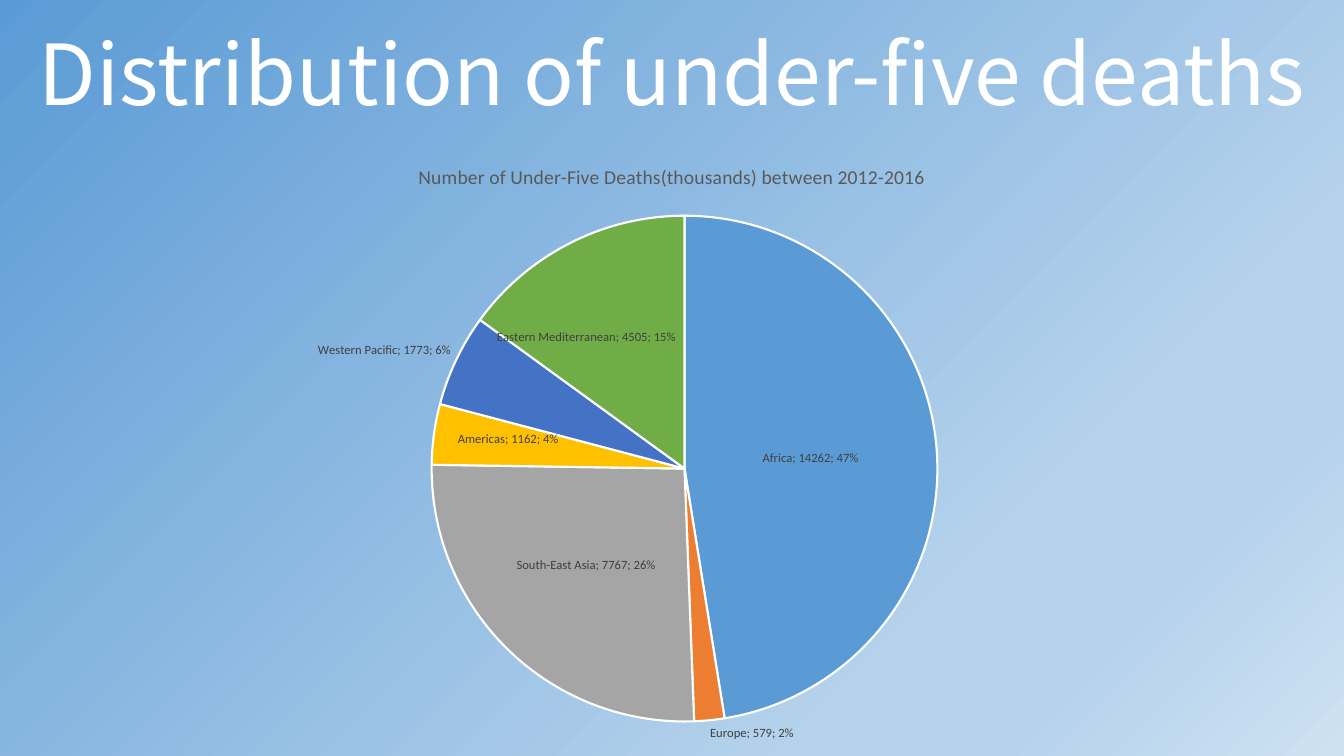
from pptx import Presentation
from pptx.chart.data import CategoryChartData
from pptx.dml.color import RGBColor
from pptx.enum.chart import XL_CHART_TYPE as ChartType, XL_LABEL_POSITION as LabelPosition
from pptx.enum.text import MSO_ANCHOR as Anchor, MSO_AUTO_SIZE as AutoSize, PP_ALIGN as Align
from pptx.oxml import parse_xml
from pptx.oxml.ns import nsdecls
from pptx.util import Cm, Pt

WHITE = RGBColor(0xFF, 0xFF, 0xFF)
BLACK = RGBColor(0x00, 0x00, 0x00)
LABEL_GRAY = RGBColor(0x40, 0x40, 0x40)
TITLE_GRAY = RGBColor(0x59, 0x59, 0x59)
BLUE = RGBColor(0x5B, 0x9B, 0xD5)
ORANGE = RGBColor(0xED, 0x7D, 0x31)
GRAY = RGBColor(0xA5, 0xA5, 0xA5)
GOLD = RGBColor(0xFF, 0xC0, 0x00)
INDIGO = RGBColor(0x44, 0x72, 0xC4)
GREEN = RGBColor(0x70, 0xAD, 0x47)
PALE_BLUE = RGBColor(0xB5, 0xD2, 0xEC)
PALEST_BLUE = RGBColor(0xCE, 0xE1, 0xF2)

TITLE = "Distribution of under-five deaths"
CHART_TITLE = "Number of Under-Five Deaths(thousands) between 2012-2016"
REGIONS = [
    ("Africa", 14262, BLUE),
    ("Europe", 579, ORANGE),
    ("South-East Asia", 7767, GRAY),
    ("Americas", 1162, GOLD),
    ("Western Pacific", 1773, INDIGO),
    ("Eastern Mediterranean", 4505, GREEN),
]
INSIDE_LABEL_SHIFTS = {
    "Africa": (0, 0),
    "South-East Asia": (-0.01, 0.01),
    "Americas": (-0.05, -0.02),
    "Eastern Mediterranean": (-0.04, -0.03),
}
BACKGROUND_STOPS = [(0, BLUE), (74, PALE_BLUE), (83, PALE_BLUE), (100, PALEST_BLUE)]
SLIDE_WIDTH, SLIDE_HEIGHT = Cm(33.87), Cm(19.05)
CHART_BOX = Cm(4.04), Cm(3.58), Cm(25.78), Cm(15.47)
PIE_AREA = {
    "layoutTarget": "inner", "xMode": "edge", "yMode": "edge",
    "x": 0.265, "y": 0.12, "w": 0.495, "h": 0.824,
}


def style_font(font, size, color, name="Calibri"):
    """Set the size, colour and typeface of a font."""
    font.size, font.name, font.bold = Pt(size), name, False
    font.color.rgb = color


def manual_layout(settings):
    """Return a chart layout element with the given settings."""
    parts = "".join(f'<c:{key} val="{value}"/>' for key, value in settings.items())
    return parse_xml(
        f'<c:layout {nsdecls("c")}><c:manualLayout>{parts}</c:manualLayout></c:layout>'
    )


def paint_background(page):
    """Fill the page with the diagonal blue gradient."""
    fill = page.background.fill
    fill.gradient()
    fill.gradient_angle = 315
    stop_list = page.element.xpath(".//a:gsLst")[0]
    for stop in list(stop_list):
        stop_list.remove(stop)
    for percent, color in BACKGROUND_STOPS:
        stop_list.append(parse_xml(
            f'<a:gs {nsdecls("a")} pos="{percent * 1000}"><a:srgbClr val="{color}"/></a:gs>'
        ))


def add_title(page):
    """Write the shadowed title across the top."""
    box = page.shapes.title
    box.left, box.top, box.width, box.height = 0, 0, SLIDE_WIDTH, Cm(3.25)
    frame = box.text_frame
    frame.text = TITLE
    frame.word_wrap = True
    frame.auto_size = AutoSize.NONE
    frame.vertical_anchor = Anchor.BOTTOM
    para = frame.paragraphs[0]
    para.alignment, para.line_spacing = Align.CENTER, 0.9
    span = para.runs[0]
    style_font(span.font, 60, WHITE, "Noto Sans CJK SC")
    shadow = parse_xml(
        f'<a:effectLst {nsdecls("a")}><a:outerShdw blurRad="50800" dist="38100" dir="5400000">'
        '<a:srgbClr val="000000"><a:alpha val="50000"/></a:srgbClr></a:outerShdw></a:effectLst>'
    )
    box.element.xpath(".//a:rPr/a:solidFill")[0].addnext(shadow)


def add_pie(page):
    """Add the pie of deaths by region."""
    data = CategoryChartData()
    data.categories = [name for name, deaths, color in REGIONS]
    data.add_series("Series 1", [deaths for name, deaths, color in REGIONS])
    chart = page.shapes.add_chart(ChartType.PIE, *CHART_BOX, data).chart
    style_font(chart.font, 10, BLACK)
    chart.has_legend = False
    chart.has_title = True
    chart.chart_title.text_frame.text = CHART_TITLE
    style_font(chart.chart_title.text_frame.paragraphs[0].runs[0].font, 14, TITLE_GRAY)

    plot = chart.plots[0]
    plot.vary_by_categories = True
    series = plot.series[0]
    labels = series.data_labels
    labels.show_value = labels.show_category_name = labels.show_percentage = True
    labels.position = LabelPosition.OUTSIDE_END
    style_font(labels.font, 9, LABEL_GRAY)

    for index, (name, deaths, color) in enumerate(REGIONS):
        point = series.points[index]
        point.format.fill.solid()
        point.format.fill.fore_color.rgb = color
        point.format.line.color.rgb = WHITE
        point.format.line.width = Pt(1.5)
        if name in INSIDE_LABEL_SHIFTS:
            label = point.data_label
            style_font(label.font, 9, LABEL_GRAY)
            label.position = LabelPosition.CENTER

    for label, (x, y) in zip(chart.element.xpath(".//c:dLbl"), INSIDE_LABEL_SHIFTS.values()):
        label.xpath("c:idx")[0].addnext(manual_layout({"x": x, "y": y}))
        for flag in label.xpath("c:showVal | c:showCatName | c:showPercent"):
            flag.set("val", "1")

    plot_area = chart.element.xpath(".//c:plotArea")[0]
    for layout in plot_area.xpath("c:layout"):
        plot_area.remove(layout)
    plot_area.insert(0, manual_layout(PIE_AREA))


def main():
    """Build and save the slide."""
    deck = Presentation()
    deck.slide_width, deck.slide_height = SLIDE_WIDTH, SLIDE_HEIGHT
    page = deck.slides.add_slide(deck.slide_layouts[5])
    paint_background(page)
    add_title(page)
    add_pie(page)
    deck.save("out.pptx")


if __name__ == "__main__":
    main()
